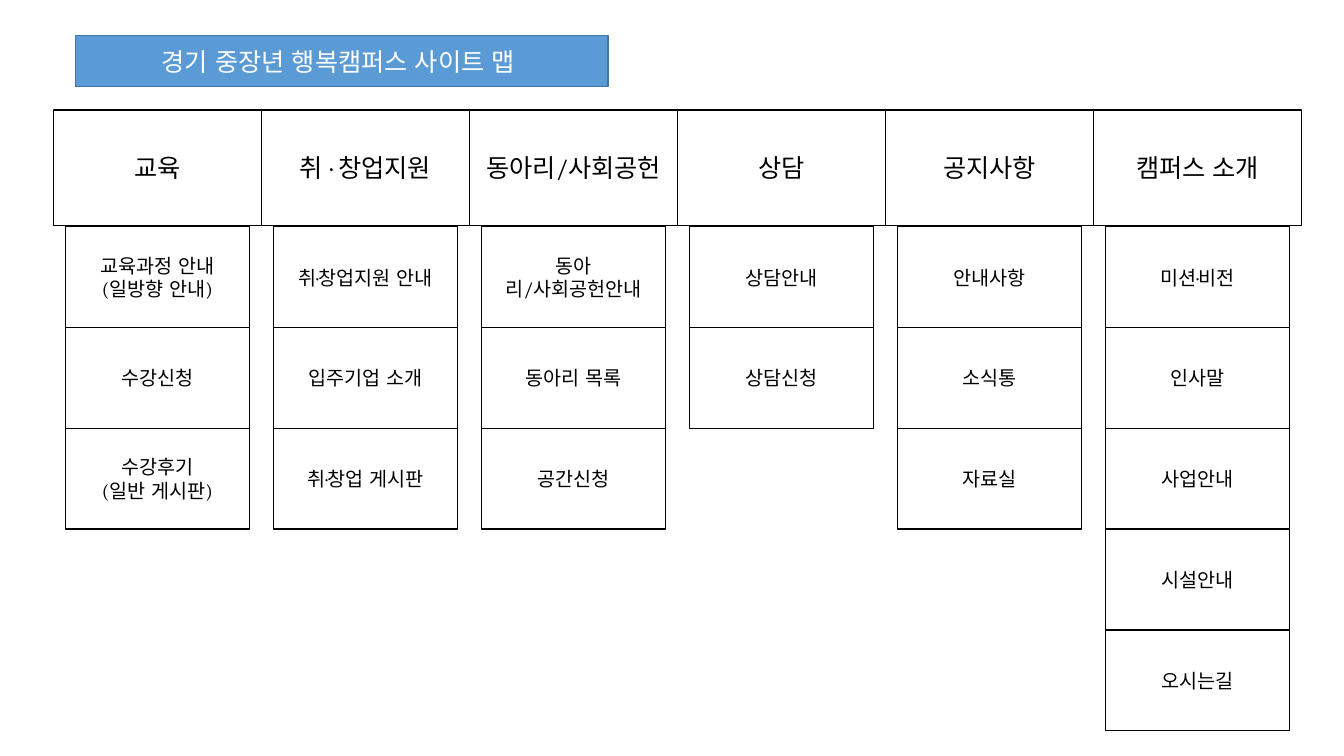
from lxml.etree import SubElement
from pptx import Presentation
from pptx.dml.color import RGBColor
from pptx.enum.lang import MSO_LANGUAGE_ID
from pptx.enum.shapes import MSO_SHAPE
from pptx.enum.text import MSO_ANCHOR, MSO_AUTO_SIZE, PP_ALIGN
from pptx.oxml.ns import qn
from pptx.util import Inches, Pt

KOREAN_FONT = "Noto Sans CJK KR"
MENU_LEFT, MENU_TOP, MENU_WIDTH = 0.53, 1.09, 12.38
HEADING_HEIGHT = 1.15
ITEMS_TOP, ITEM_HEIGHT, ITEM_INSET = 2.25, 1.0, 0.12

# Each menu: heading and its pages
SITE_MAP = [
    ("교육", ["교육과정 안내\n(일방향 안내)", "수강신청", "수강후기\n(일반 게시판)"]),
    ("취 · 창업지원", ["취·창업지원 안내", "입주기업 소개", "취·창업 게시판"]),
    ("동아리/사회공헌", ["동아리/사회공헌안내", "동아리 목록", "공간신청"]),
    ("상담", ["상담안내", "상담신청"]),
    ("공지사항", ["안내사항", "소식통", "자료실"]),
    ("캠퍼스 소개", ["미션·비전", "인사말", "사업안내", "시설안내", "오시는길"]),
]


def color(hex_value):
    return RGBColor.from_string(hex_value)


def write_text(shape, text, size=14, font="Cambria", text_color="000000"):
    frame = shape.text_frame
    frame.auto_size = MSO_AUTO_SIZE.NONE
    frame.word_wrap = True
    frame.vertical_anchor = MSO_ANCHOR.MIDDLE
    frame.text = text
    for paragraph in frame.paragraphs:
        paragraph.alignment = PP_ALIGN.CENTER
        for run in paragraph.runs:
            run.font.size = Pt(size)
            run.font.name = font
            run.font.color.rgb = color(text_color)
            run.font.language_id = MSO_LANGUAGE_ID.KOREAN
            # Typeface for the Hangul characters
            hangul = SubElement(run.font._element, qn("a:ea"))
            hangul.set("typeface", KOREAN_FONT)


def paint(shape, fill, line):
    shape.fill.solid()
    shape.fill.fore_color.rgb = color(fill)
    shape.line.color.rgb = color(line)
    shape.line.width = Pt(1)


def add_title(slide, text):
    title = slide.shapes.title
    title.left, title.top = Inches(0.75), Inches(0.35)
    title.width, title.height = Inches(5.28), Inches(0.51)
    paint(title, "5B9BD5", "43739E")
    write_text(title, text, size=18, font=KOREAN_FONT, text_color="FFFFFF")


def add_box(slide, text, left, top, width, height, size):
    box = slide.shapes.add_shape(MSO_SHAPE.RECTANGLE, Inches(left), Inches(top),
                                 Inches(width), Inches(height))
    box.shadow.inherit = False
    paint(box, "FFFFFF", "000000")
    write_text(box, text, size=size)


def add_menu(slide, heading, pages, left, width):
    add_box(slide, heading, left, MENU_TOP, width, HEADING_HEIGHT, size=18)
    for row, page in enumerate(pages):
        add_box(slide, page, left + ITEM_INSET, ITEMS_TOP + row * ITEM_HEIGHT,
                width - 2 * ITEM_INSET, ITEM_HEIGHT, size=14)


def main():
    deck = Presentation()
    deck.slide_width, deck.slide_height = Inches(13.33), Inches(7.5)
    slide = deck.slides.add_slide(deck.slide_layouts.get_by_name("Title Only"))

    add_title(slide, "경기 중장년 행복캠퍼스 사이트 맵 ")

    # Menu columns of equal width
    menu_width = MENU_WIDTH / len(SITE_MAP)
    for column, (heading, pages) in enumerate(SITE_MAP):
        add_menu(slide, heading, pages, MENU_LEFT + column * menu_width, menu_width)

    deck.save("out.pptx")


if __name__ == "__main__":
    main()
